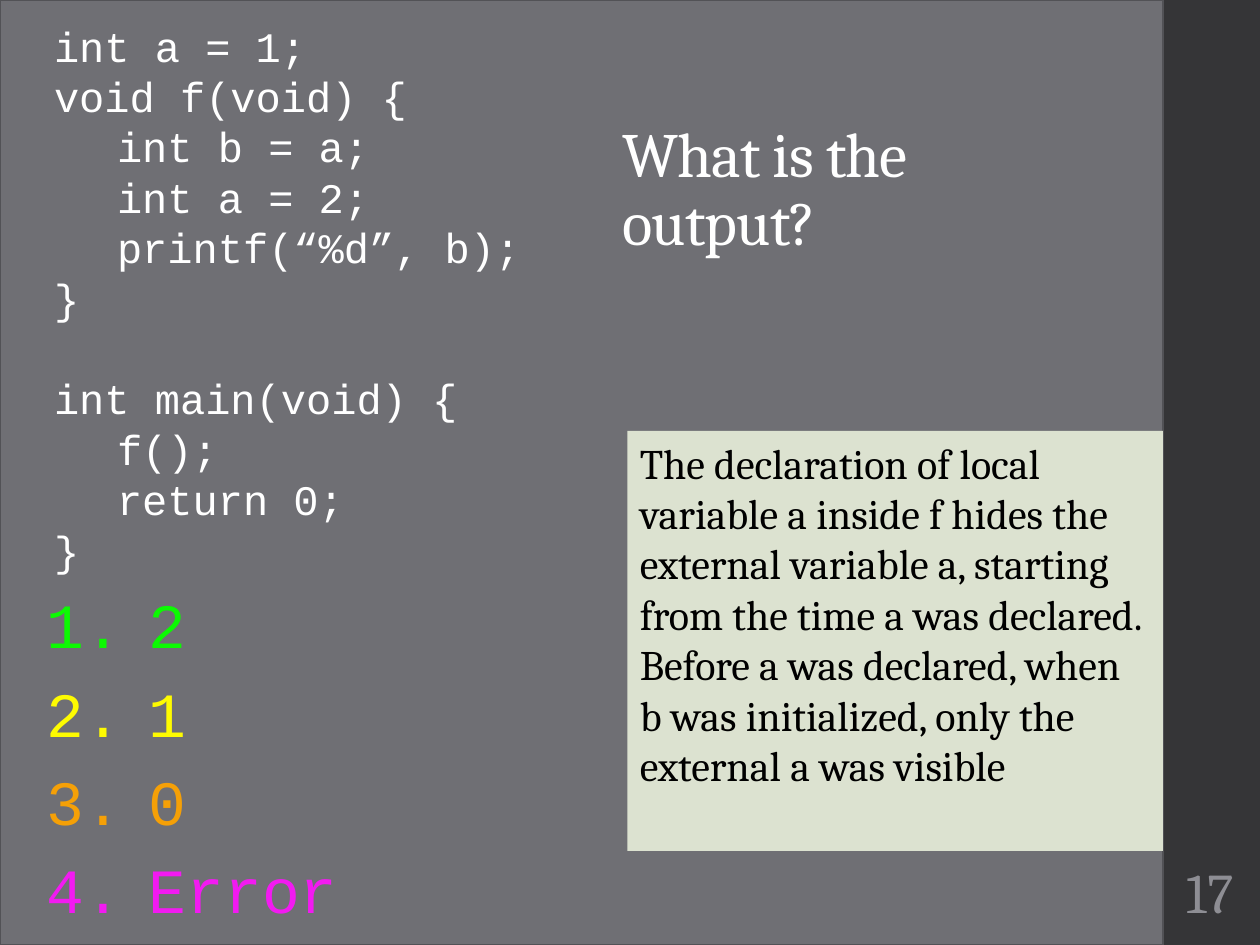
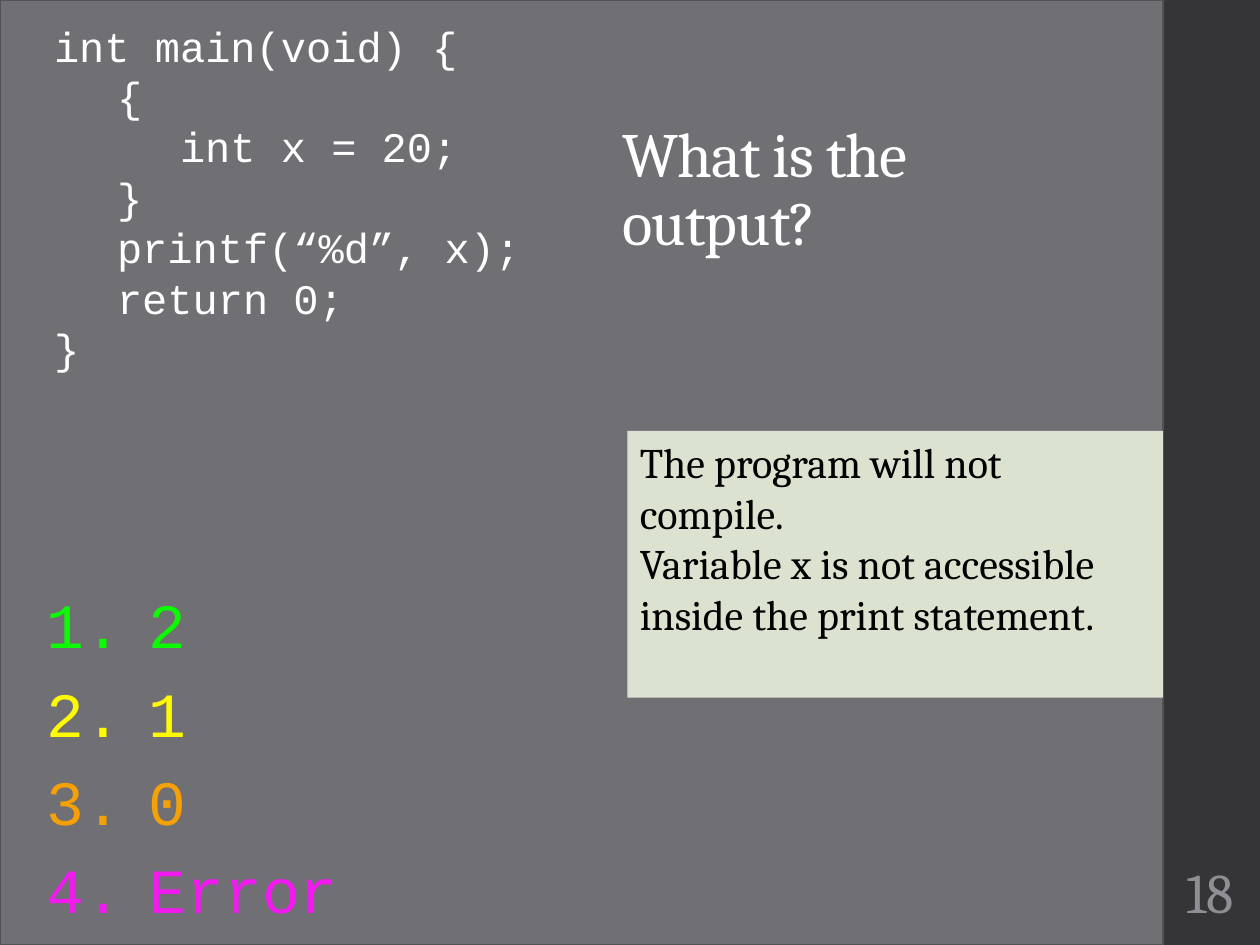
from dataclasses import dataclass
from typing import NamedTuple

from lxml.etree import SubElement
from pptx import Presentation
from pptx.dml.color import RGBColor
from pptx.enum.shapes import MSO_SHAPE
from pptx.enum.text import MSO_ANCHOR, MSO_AUTO_SIZE, PP_ALIGN
from pptx.oxml.ns import qn
from pptx.util import Pt


@dataclass(frozen=True)
class Theme:
    serif: str = "Cambria"
    mono: str = "Courier New"
    panel: str = "6F6F74"
    panel_edge: str = "525256"
    band: str = "353537"
    note: str = "DCE2D0"
    light: str = "FFFFFF"
    dark: str = "000000"
    page: str = "8E8E94"
    answers: tuple = ("0CFA02", "FEFB01", "F5A007", "F21AF1")
    heading_size: int = 36
    page_size: int = 32
    text_size: int = 24
    line_height: float = 1.2
    code_indent: int = 36
    answer_indent: float = 58.3


class Box(NamedTuple):
    left: float
    top: float
    width: float
    height: float

    def lengths(self):
        return [Pt(value) for value in self]

    def place(self, shape):
        shape.left, shape.top, shape.width, shape.height = self.lengths()


THEME = Theme()
SLIDE = Box(0, 0, 720, 540)
PANEL = Box(0, 0, 664.5, 540)
BAND = Box(663, 0, 57.5, 540)
TITLE = Box(348.5, 10.8, 282, 141)
PAGE = Box(664.5, 486, 54, 46.8)
ANSWERS = Box(19.5, 331.2, 228, 216.7)
CODE_LEFT, CODE_TOP, CODE_WIDTH = 23.8, 7.9, 291
NOTE_LEFT, NOTE_TOP = 358.5, 246.2

QUESTION = "What is the output?"
CHOICES = ("2", "1", "0", "Error")
QUIZZES = [
    dict(
        page=17,
        code="""int a = 1;
void f(void) {
\tint b = a;
\tint a = 2;
\tprintf(“%d”, b);
}

int main(void) {
\tf();
\treturn 0;
}""",
        note="The declaration of local variable a inside f hides the external "
        "variable a, starting from the time a was declared. Before a was "
        "declared, when b was initialized, only the external a was visible",
        note_height=240,
    ),
    dict(
        page=18,
        code="""int main(void) {
\t{
\t\tint x = 20;
\t}
\tprintf(“%d”, x);
\treturn 0;
}""",
        note="The program will not compile.\n"
        "Variable x is not accessible inside the print statement.",
        note_height=152.5,
    ),
]


def style(paragraph, font, size, color):
    for run in paragraph.runs:
        run.font.name = font
        run.font.size = Pt(size)
        run.font.color.rgb = RGBColor.from_string(color)


def add_rectangle(slide, box, fill, edge=None):
    rectangle = slide.shapes.add_shape(MSO_SHAPE.RECTANGLE, *box.lengths())
    rectangle.shadow.inherit = False
    rectangle.fill.solid()
    rectangle.fill.fore_color.rgb = RGBColor.from_string(fill)
    if edge:
        rectangle.line.color.rgb = RGBColor.from_string(edge)
        rectangle.line.width = Pt(1.1)
    else:
        rectangle.line.fill.background()
    return rectangle


def add_backdrop(slide):
    panel = add_rectangle(slide, PANEL, THEME.panel, THEME.panel_edge)
    band = add_rectangle(slide, BAND, THEME.band)
    for layer in (panel, band):
        slide.shapes._spTree.insert(2, layer._element)


def fill_title(slide, box):
    title = slide.shapes.title
    box.place(title)
    frame = title.text_frame
    frame.text = QUESTION
    frame.word_wrap = True
    frame.auto_size = MSO_AUTO_SIZE.NONE
    frame.vertical_anchor = MSO_ANCHOR.BOTTOM
    heading = frame.paragraphs[0]
    heading.alignment = PP_ALIGN.LEFT
    heading.line_spacing = 0.9
    style(heading, THEME.serif, THEME.heading_size, THEME.light)
    heading.runs[0].font._element.set("spc", "-50")


def add_page_number(slide, box, number):
    frame = slide.shapes.add_textbox(*box.lengths()).text_frame
    frame.text = str(number)
    frame.word_wrap = True
    frame.vertical_anchor = MSO_ANCHOR.MIDDLE
    frame.margin_left = frame.margin_right = Pt(2.2)
    frame.paragraphs[0].alignment = PP_ALIGN.CENTER
    style(frame.paragraphs[0], THEME.serif, THEME.page_size, THEME.page)


def fill_answers(slide, box):
    answers = slide.placeholders[1]
    box.place(answers)
    frame = answers.text_frame
    frame.text = "\n".join(CHOICES)
    frame.word_wrap = True
    frame.auto_size = MSO_AUTO_SIZE.NONE
    frame.vertical_anchor = MSO_ANCHOR.TOP
    for answer, color in zip(frame.paragraphs, THEME.answers):
        answer.space_before = Pt(THEME.heading_size * 0.2)
        style(answer, THEME.mono, THEME.heading_size, color)
        properties = answer._p.get_or_add_pPr()
        properties.set("marL", str(Pt(THEME.answer_indent)))
        properties.set("indent", str(-Pt(THEME.answer_indent)))
        SubElement(properties, qn("a:buFont"), typeface=THEME.mono)
        SubElement(properties, qn("a:buAutoNum"), type="arabicPeriod")


def add_code(slide, left, top, width, code):
    line_height = THEME.text_size * THEME.line_height
    height = 7.2 + line_height * len(code.splitlines())
    box = Box(left, top, width, height)
    frame = slide.shapes.add_textbox(*box.lengths()).text_frame
    frame.word_wrap = True
    lines = [line for line in code.splitlines() if line]
    frame.text = "\n".join(line.lstrip("\t") for line in lines)
    starts = {block.splitlines()[0] for block in code.split("\n\n")[1:]}
    for paragraph, line in zip(frame.paragraphs, lines):
        depth = line.count("\t")
        if depth:
            margin = Pt(THEME.code_indent * depth)
            paragraph._p.get_or_add_pPr().set("marL", str(margin))
        if line in starts:
            paragraph.space_before = Pt(line_height)
        style(paragraph, THEME.mono, THEME.text_size, THEME.light)


def add_note(slide, box, note):
    frame = add_rectangle(slide, box, THEME.note).text_frame
    frame.text = note
    frame.word_wrap = True
    frame.vertical_anchor = MSO_ANCHOR.TOP
    for paragraph in frame.paragraphs:
        paragraph.alignment = PP_ALIGN.LEFT
        style(paragraph, THEME.serif, THEME.text_size, THEME.dark)


def add_quiz(deck, page, code, note, note_height):
    slide = deck.slides.add_slide(deck.slide_layouts[1])
    add_backdrop(slide)
    fill_title(slide, TITLE)
    add_page_number(slide, PAGE, page)
    fill_answers(slide, ANSWERS)
    add_code(slide, CODE_LEFT, CODE_TOP, CODE_WIDTH, code)
    note_width = PANEL.width - NOTE_LEFT
    add_note(slide, Box(NOTE_LEFT, NOTE_TOP, note_width, note_height), note)


def main():
    deck = Presentation()
    deck.slide_width, deck.slide_height = Pt(SLIDE.width), Pt(SLIDE.height)
    for quiz in QUIZZES:
        add_quiz(deck, **quiz)
    deck.save("out.pptx")


if __name__ == "__main__":
    main()
